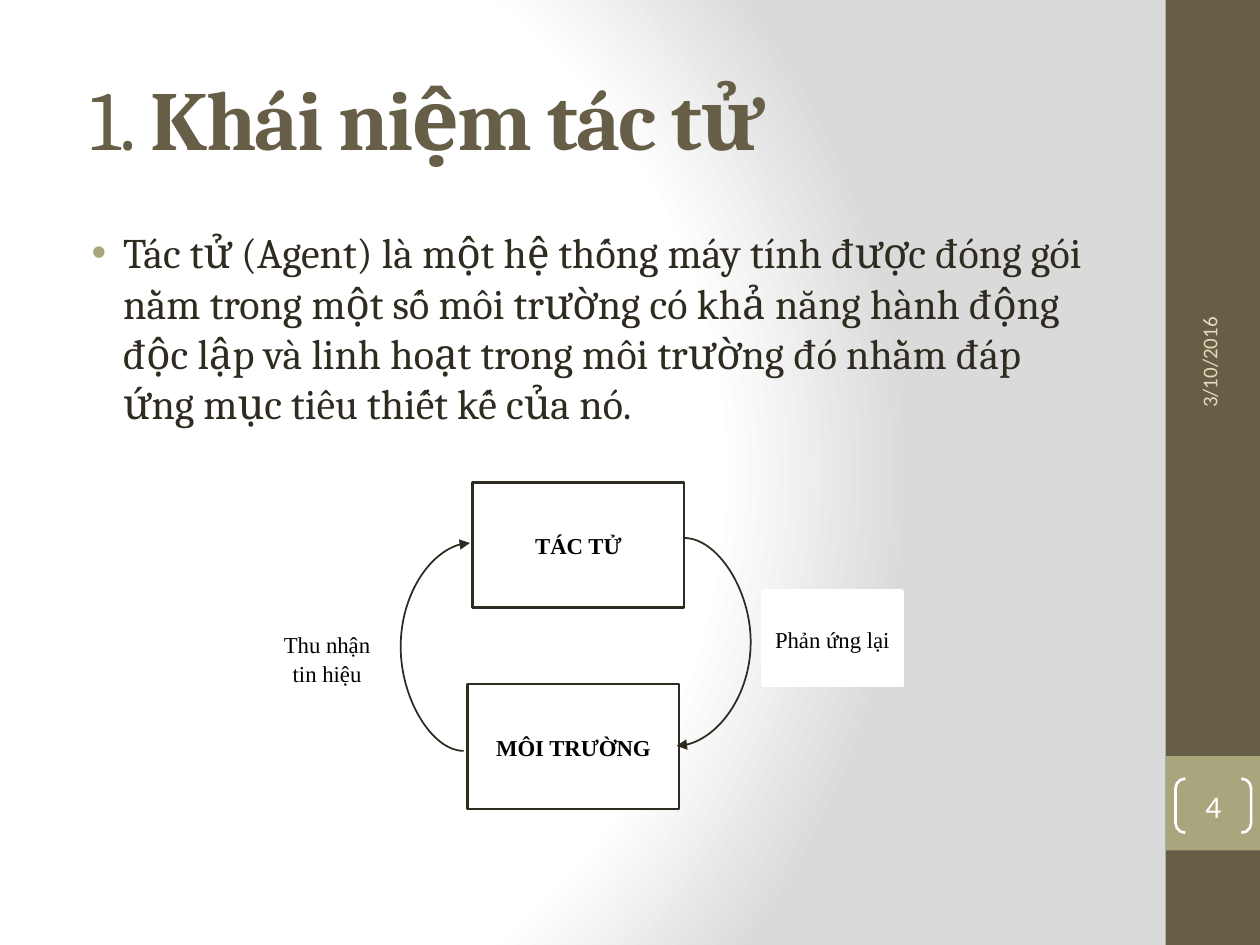
import pptx
import pptx.util
import pptx.dml.color
import pptx.enum.shapes
import pptx.enum.text
import pptx.oxml
import pptx.oxml.ns
import lxml.etree

Inches = pptx.util.Inches
Pt = pptx.util.Pt
Kind = pptx.enum.shapes.MSO_SHAPE
Align = pptx.enum.text.PP_ALIGN
Anchor = pptx.enum.text.MSO_ANCHOR
qn = pptx.oxml.ns.qn

DARK, OLIVE, INK, WHITE = "675E47", "A9A57C", "2F2B20", "FFFFFF"
SERIF = "Times New Roman"


def color(text):
    return pptx.dml.color.RGBColor.from_string(text)


def add_node(parent, tag, **attrs):
    return lxml.etree.SubElement(parent, qn(tag), attrs)


def style(run, size, font, tint, bold=False):
    run.font.size = Pt(size)
    run.font.name = font
    run.font.color.rgb = color(tint)
    run.font.bold = bold


def indent(para, left, first):
    props = para._p.get_or_add_pPr()
    props.set("marL", str(Inches(left)))
    props.set("indent", str(Inches(first)))
    return props


def paint_back(slide):
    fill = slide.background.fill
    fill.gradient()
    grad = fill._xPr.find(qn("a:gradFill"))
    for child in list(grad):
        grad.remove(child)
    stops = add_node(grad, "a:gsLst")
    for pos, tint in ((0, WHITE), (75, WHITE), (100, "DADADA")):
        stop = add_node(stops, "a:gs", pos=str(pos * 1000))
        add_node(stop, "a:srgbClr", val=tint)
    way = add_node(grad, "a:path", path="circle")
    add_node(way, "a:fillToRect", l="20000", t="50000", r="100000", b="50000")


def add_box(slide, box, fill=None, line=None, width=1.5, kind=Kind.RECTANGLE):
    shape = slide.shapes.add_shape(kind, *map(Inches, box))
    shape.shadow.inherit = False
    if fill:
        shape.fill.solid()
        shape.fill.fore_color.rgb = color(fill)
    else:
        shape.fill.background()
    if line:
        shape.line.color.rgb = color(line)
        shape.line.width = Pt(width)
    else:
        shape.line.fill.background()
    return shape


def add_label(slide, text, box, line, width, bold):
    frame = add_box(slide, box, WHITE, line, width).text_frame
    frame.text = text
    frame.word_wrap = True
    frame.vertical_anchor = Anchor.MIDDLE
    para = frame.paragraphs[0]
    para.alignment = Align.CENTER
    para.line_spacing = 1.07
    para.space_after = Pt(8)
    style(para.runs[0], 13, SERIF, "000000", bold)


def add_curve(slide, start, end, bend, tip):
    curve = slide.shapes.add_connector(
        pptx.enum.shapes.MSO_CONNECTOR.CURVE, *map(Inches, start + end))
    curve.line.color.rgb = color("2E2A1F")
    curve.line.width = Pt(1)
    add_node(curve.line._get_or_add_ln(), tip, type="triangle")
    props = curve._element.spPr
    add_node(props, "a:effectLst")
    ratio = round((bend - start[0]) / (end[0] - start[0]) * 100000)
    guides = props.find(qn("a:prstGeom")).get_or_add_avLst()
    add_node(guides, "a:gd", name="adj1", fmla=f"val {ratio}")


def add_title(slide):
    title = slide.shapes.title
    title.left, title.top, title.width, title.height = map(
        Inches, (0.5, 0.3, 8.33, 1.25))
    frame = title.text_frame
    frame.vertical_anchor = Anchor.MIDDLE
    para = frame.paragraphs[0]
    para.alignment = Align.LEFT
    indent(para, 0.12, 0)
    for text, bold in (("1. ", False), ("Khái niệm tác tử", True)):
        run = para.add_run()
        run.text = text
        style(run, 48, "Cambria", DARK, bold)
        run.font._element.set("spc", "-100")


def add_text(slide, text, box, size, font, tint):
    shape = slide.shapes.add_textbox(*map(Inches, box))
    frame = shape.text_frame
    frame.text = text
    frame.word_wrap = True
    style(frame.paragraphs[0].runs[0], size, font, tint)
    return shape


def add_body(slide):
    text = ("Tác tử (Agent) là một hệ thống máy tính được đóng gói nằm trong "
            "một số môi trường có khả năng hành động độc lập và linh hoạt "
            "trong môi trường đó nhằm đáp ứng mục tiêu thiết kế của nó.")
    shape = add_text(slide, text, (0.5, 1.75, 8.33, 5.25), 24, "Cambria", INK)
    para = shape.text_frame.paragraphs[0]
    para.space_before = Pt(4.8)
    props = indent(para, 0.38, -0.25)
    add_node(add_node(props, "a:buClr"), "a:srgbClr", val=OLIVE)
    add_node(props, "a:buFont", typeface="Arial")
    add_node(props, "a:buChar", char="•")


def add_number(slide):
    shape = add_box(slide, (9.33, 6.18, 0.6, 0.43), line=WHITE,
                    kind=Kind.DOUBLE_BRACKET)
    shape.adjustments[0] = 0.18
    frame = shape.text_frame
    frame.text = "4"
    frame.margin_left = frame.margin_right = 0
    frame.margin_top = frame.margin_bottom = 0
    frame.vertical_anchor = Anchor.MIDDLE
    frame.paragraphs[0].alignment = Align.CENTER
    style(frame.paragraphs[0].runs[0], 18, "Calibri", WHITE)


def add_date(slide):
    shape = add_text(slide, "3/10/2016", (8.26, 1.8, 2.67, 0.4),
                     12, "Calibri", "DFDCB7")
    shape.rotation = 270
    shape.text_frame.vertical_anchor = Anchor.MIDDLE


def main():
    deck = pptx.Presentation()
    deck.slide_width, deck.slide_height = Inches(10), Inches(7.5)
    slide = deck.slides.add_slide(deck.slide_layouts[5])
    paint_back(slide)
    add_box(slide, (9.25, 0, 0.75, 7.5), DARK)
    add_box(slide, (9.25, 6, 0.75, 0.75), OLIVE)
    add_title(slide)
    add_body(slide)
    add_number(slide)
    add_label(slide, "MÔI TRƯỜNG", (3.71, 5.43, 1.68, 0.99), INK, 1.5, True)
    add_label(slide, "TÁC TỬ", (3.75, 3.83, 1.68, 0.99), INK, 1.5, True)
    add_curve(slide, (3.68, 5.96), (3.73, 4.31), 3.18, "a:tailEnd")
    add_label(slide, "Thu nhận tin hiệu", (2.04, 4.57, 1.11, 1.3),
              WHITE, 2, False)
    add_curve(slide, (5.37, 5.92), (5.43, 4.27), 5.96, "a:headEnd")
    add_label(slide, "Phản ứng lại", (6.05, 4.69, 1.11, 0.75),
              WHITE, 2, False)
    add_date(slide)
    deck.save("out.pptx")


if __name__ == "__main__":
    main()
